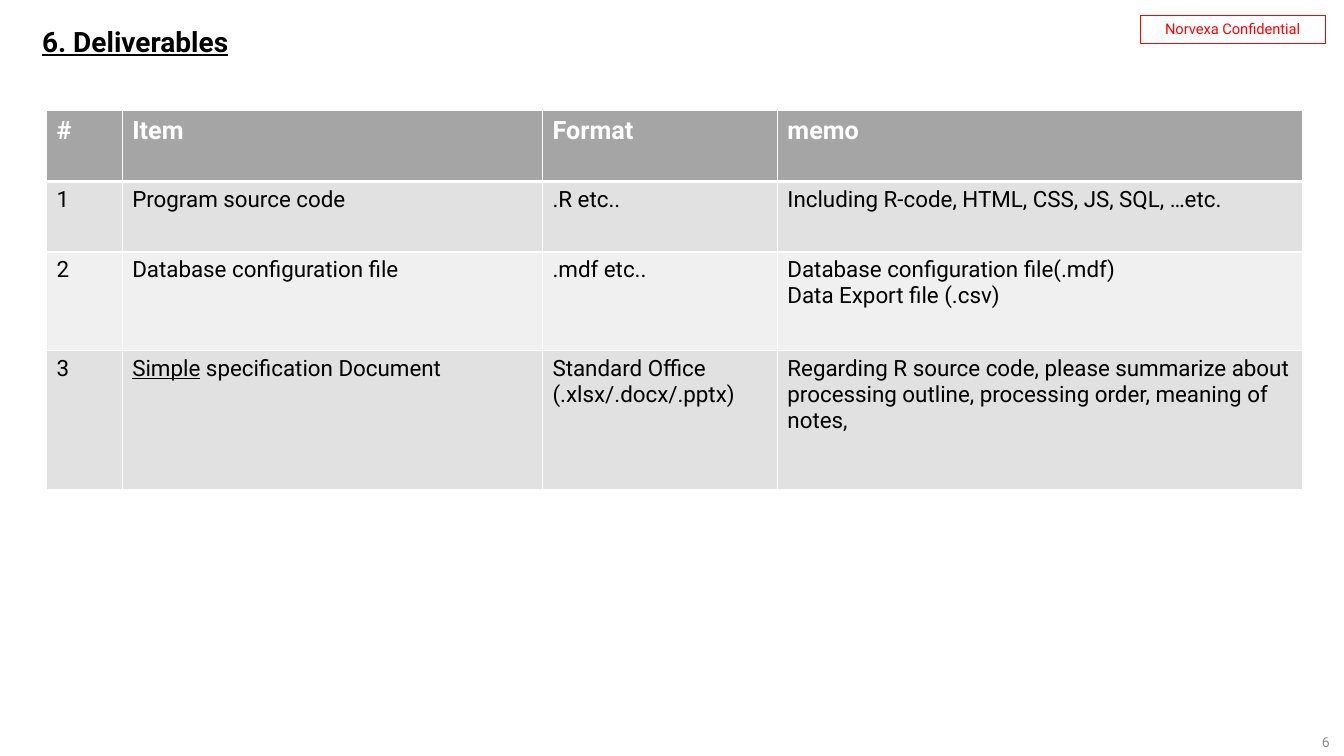
"""Build the deliverables slide."""
from dataclasses import dataclass
from typing import Any, Optional

from lxml.etree import SubElement
from pptx import Presentation
from pptx.dml.color import RGBColor
from pptx.enum.shapes import MSO_SHAPE
from pptx.enum.text import MSO_ANCHOR, PP_ALIGN
from pptx.oxml.ns import qn
from pptx.util import Pt

BLACK = RGBColor(0, 0, 0)
WHITE = RGBColor(255, 255, 255)
RED = RGBColor(255, 0, 0)
GRAY = RGBColor(0x8C, 0x8C, 0x8C)
HEAD = RGBColor(0xA5, 0xA5, 0xA5)
DARK = RGBColor(0xE1, 0xE1, 0xE1)
LIGHT = RGBColor(0xF0, 0xF0, 0xF0)


@dataclass(frozen=True)
class Style:
    """Look of a run of text."""
    size: float
    color: RGBColor = BLACK
    bold: bool = False
    under: bool = False


@dataclass(frozen=True)
class Label:
    """One framed or plain line of text."""
    text: str
    box: tuple[float, float, float, float]
    style: Style
    align: PP_ALIGN = PP_ALIGN.LEFT
    anchor: MSO_ANCHOR = MSO_ANCHOR.MIDDLE
    space: float = 1.0
    line: Optional[RGBColor] = None


@dataclass(frozen=True)
class Row:
    """One table row; each cell is a list of lines."""
    height: float
    fill: RGBColor
    style: Style
    cells: tuple[list[str], ...]
    lead: str = ""


HEADER = Style(18, WHITE, bold=True)
BODY = Style(16)
LABELS = (
    Label("Norvexa Confidential", (814.3, 10.8, 132.5, 20.2), Style(10.5, RED),
          PP_ALIGN.CENTER, MSO_ANCHOR.TOP, line=RED),
    Label("6. Deliverables", (23, 15.4, 828, 31),
          Style(20, bold=True, under=True), space=0.9),
    Label("6", (898.6, 522, 58.3, 15.8), Style(10, GRAY), PP_ALIGN.RIGHT),
)
WIDTHS = (54, 300.2, 167.8, 375.1)
ROWS = (
    Row(50.4, HEAD, HEADER, (["#"], ["Item"], ["Format"], ["memo"])),
    Row(50.4, DARK, BODY, (["1"], ["Program source code"], [".R etc.."],
                           ["Including R-code, HTML, CSS, JS, SQL, …etc."])),
    Row(70.6, LIGHT, BODY, (["2"], ["Database configuration file"], [".mdf etc.."],
                            ["Database configuration file(.mdf)",
                             "Data Export file (.csv)"])),
    Row(99.4, DARK, BODY, (["3"], ["Simple specification Document"],
                           ["Standard Office", "(.xlsx/.docx/.pptx)"],
                           ["Regarding R source code, please summarize about "
                            "processing outline, processing order, meaning of notes,"]),
        lead="Simple"),
)


def add_run(para: Any, text: str, style: Style, under: bool = False) -> None:
    """Append one styled run."""
    run = para.add_run()
    run.text = text
    font = run.font
    font.name = "Roboto"
    font.size = Pt(style.size)
    font.bold = style.bold
    font.underline = style.under or under
    font.color.rgb = style.color


def add_label(slide: Any, label: Label) -> None:
    """Draw a label, with a frame if it has a line colour."""
    box = [Pt(side) for side in label.box]
    if label.line is None:
        shape = slide.shapes.add_textbox(*box)
    else:
        shape = slide.shapes.add_shape(MSO_SHAPE.RECTANGLE, *box)
        shape.shadow.inherit = False
        shape.fill.background()
        shape.line.color.rgb = label.line
        shape.line.width = Pt(0.5)
    frame = shape.text_frame
    frame.word_wrap = True
    frame.vertical_anchor = label.anchor
    para = frame.paragraphs[0]
    para.alignment = label.align
    para.line_spacing = label.space
    add_run(para, label.text, label.style)


def set_edge(cell: Any, side: str, width: float) -> None:
    """Give one side of a cell a white border."""
    edge = SubElement(cell._tc.get_or_add_tcPr(), qn(f"a:{side}"), w=str(Pt(width)))
    fill = SubElement(edge, qn("a:solidFill"))
    SubElement(fill, qn("a:srgbClr"), val=str(WHITE))


def fill_cell(cell: Any, lines: list[str], row: Row, top: float, base: float) -> None:
    """Set the borders, fill and text of a cell."""
    for side, width in (("lnL", 1), ("lnR", 1), ("lnT", top), ("lnB", base)):
        set_edge(cell, side, width)
    cell.fill.solid()
    cell.fill.fore_color.rgb = row.fill
    frame = cell.text_frame
    for num, line in enumerate(lines):
        para = frame.add_paragraph() if num else frame.paragraphs[0]
        if row.lead and line.startswith(row.lead):
            add_run(para, row.lead, row.style, under=True)
            line = line.removeprefix(row.lead)
        add_run(para, line, row.style)


def add_grid(slide: Any) -> None:
    """Draw the table of deliverables."""
    high = sum(row.height for row in ROWS)
    table = slide.shapes.add_table(len(ROWS), len(WIDTHS), Pt(33.3), Pt(79.2),
                                   Pt(sum(WIDTHS)), Pt(high)).table
    for col, width in zip(table.columns, WIDTHS):
        col.width = Pt(width)
    for num, row in enumerate(ROWS):
        table.rows[num].height = Pt(row.height)
        top = 3 if num == 1 else 1
        base = 3 if num == 0 else 1
        for col, lines in enumerate(row.cells):
            fill_cell(table.cell(num, col), lines, row, top, base)


def main() -> None:
    """Build and save the deck."""
    deck = Presentation()
    deck.slide_width, deck.slide_height = Pt(960), Pt(540)
    slide = deck.slides.add_slide(deck.slide_layouts[6])
    for label in LABELS:
        add_label(slide, label)
    add_grid(slide)
    deck.save("out.pptx")


if __name__ == "__main__":
    main()
